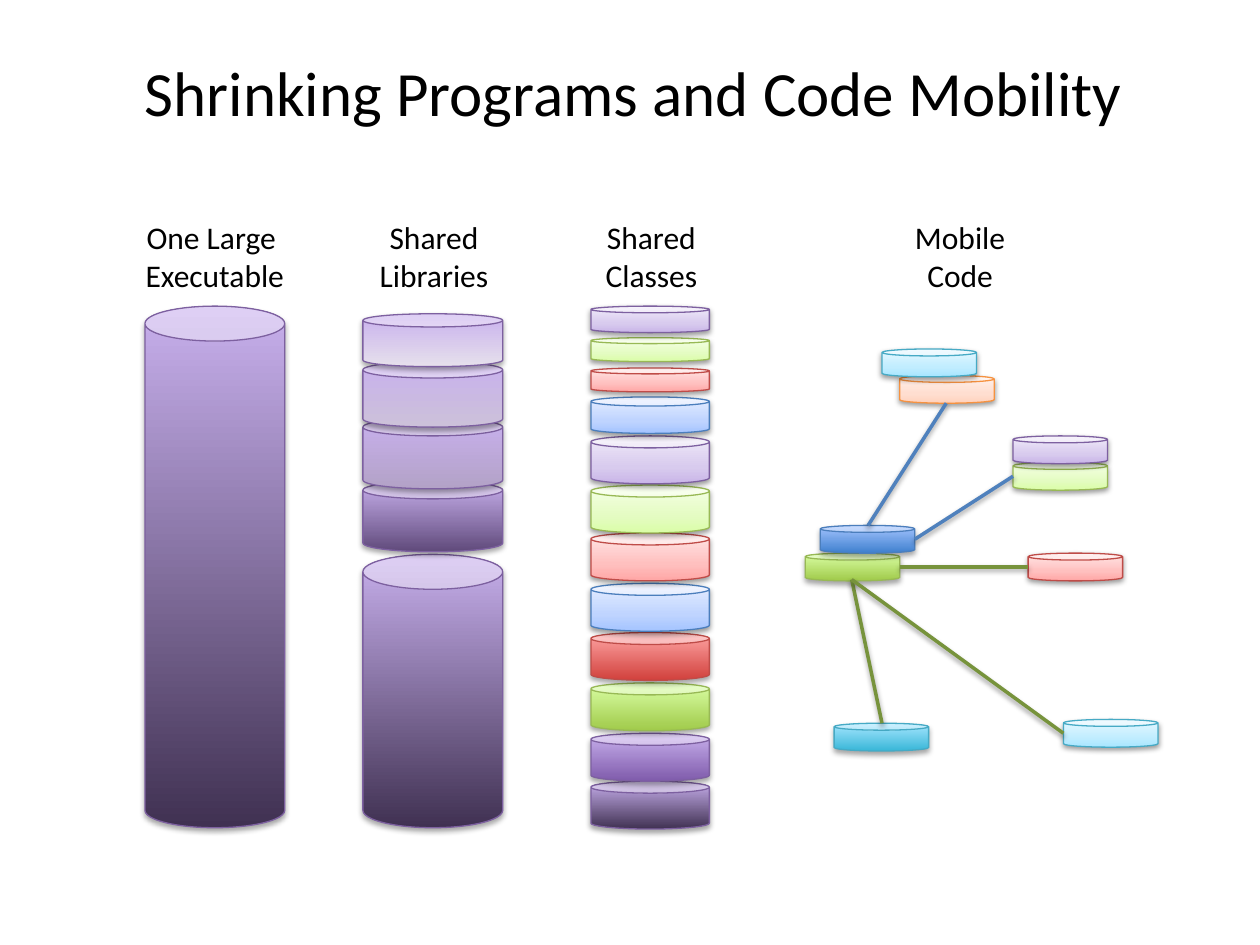
from copy import deepcopy

from lxml import etree
from pptx import Presentation
from pptx.dml.color import RGBColor
from pptx.enum.shapes import MSO_CONNECTOR as Connector, MSO_SHAPE as Shape
from pptx.enum.text import MSO_ANCHOR as Anchor, MSO_AUTO_SIZE as AutoSize, PP_ALIGN as Align
from pptx.oxml import parse_xml
from pptx.util import Inches, Pt

COLORS = {
    "text": "000000",
    "purple line": "7D60A0", "green line": "98B955", "red line": "BF4C48",
    "blue line": "4B7EBC", "orange line": "F69240", "cyan line": "46AAC5",
    "blue link": "4F81BD", "green link": "77933C",
}
# Gradient stops of each can, from bottom to top
GRADIENTS = {
    "purple darkest": ("403152", "C8B0ED"),
    "purple dark": ("604A7B", "C8B0ED"),
    "purple mid": ("B3A2C7", "C8B0ED"),
    "purple soft": ("CCC1DA", "C8B0ED"),
    "purple pale": ("E6E0EC", "C8B0ED"),
    "purple strong": ("7F5BAB", "C8B0ED"),
    "green strong": ("A0CA4A", "DAFFA5"),
    "red strong": ("D1403C", "FFA6A5"),
    "blue strong": ("3F80CE", "A4C4FF"),
    "cyan strong": ("39B7D8", "A7E6FF"),
    "purple light": ("C9B5E8", "D8CBEE", "F0EAF9"),
    "green light": ("DAFDA7", "E4FCC2", "F5FFE7"),
    "red light": ("FFA6A5", "FFC0BF", "FFE7E7"),
    "blue light": ("A4C4FF", "BFD4FF", "E6EEFF"),
    "orange light": ("FFD2BD", "FFDED0", "FFF2ED"),
    "cyan light": ("A7E6FF", "C1EDFF", "E7F8FF"),
}
DRAWING_NS = "http://schemas.openxmlformats.org/drawingml/2006/main"


def add_shadow(part, distance, opacity):
    part._element.spPr.append(parse_xml(
        f'<a:effectLst xmlns:a="{DRAWING_NS}"><a:outerShdw blurRad="{Pt(3.1)}" '
        f'dist="{Pt(distance)}" dir="5400000" rotWithShape="0"><a:srgbClr val="000000">'
        f'<a:alpha val="{opacity}000"/></a:srgbClr></a:outerShdw></a:effectLst>'))


def add_can(left, top, width, height, style):
    can = slide.shapes.add_shape(
        Shape.CAN, Inches(left), Inches(top), Inches(width), Inches(height))
    stops = GRADIENTS[style]
    can.fill.gradient()
    can.fill.gradient_angle = 90
    if len(stops) == 3:
        stop_list = can._element.spPr.find(f".//{{{DRAWING_NS}}}gsLst")
        stop_list.insert(1, deepcopy(stop_list[0]))
    positions = (0, 0.35, 1) if len(stops) == 3 else (0, 1)
    for stop, position, color in zip(can.fill.gradient_stops, positions, stops):
        stop.position = position
        stop.color.rgb = RGBColor.from_string(color)
    can.line.color.rgb = RGBColor.from_string(COLORS[style.split()[0] + " line"])
    can.line.width = Pt(0.75)
    if len(stops) == 3:
        add_shadow(can, 1.6, 38)
    else:
        add_shadow(can, 1.8, 35)


prs = Presentation()
prs.slide_width, prs.slide_height = Inches(10), Inches(7.5)
slide = prs.slides.add_slide(prs.slide_layouts[5])

# Title
title = slide.shapes.title
title.left, title.top = Inches(1.05), Inches(0.37)
title.width, title.height = Inches(8.03), Inches(0.71)
title_frame = title.text_frame
title_frame.word_wrap = False
title_frame.auto_size = AutoSize.NONE
title_frame.vertical_anchor = Anchor.MIDDLE
title_frame.paragraphs[0].alignment = Align.LEFT
title_run = title_frame.paragraphs[0].add_run()
title_run.text = "Shrinking Programs and Code Mobility"
title_run.font.size = Pt(36)
title_run.font.name = "Calibri"
title_run.font.color.rgb = RGBColor.from_string(COLORS["text"])

# One large executable
add_can(1.15, 2.43, 1.11, 4.14, "purple darkest")

# Shared libraries, from the bottom up
for top, height, style in (
    (4.4, 2.17, "purple darkest"),
    (3.82, 0.56, "purple dark"),
    (3.32, 0.56, "purple mid"),
    (2.87, 0.52, "purple soft"),
    (2.49, 0.42, "purple pale"),
):
    add_can(2.88, top, 1.11, height, style)

# Shared classes, from the bottom up
for top, height, style in (
    (6.2, 0.38, "purple darkest"),
    (5.82, 0.38, "purple strong"),
    (5.42, 0.38, "green strong"),
    (5.02, 0.38, "red strong"),
    (4.63, 0.38, "blue light"),
    (4.23, 0.38, "red light"),
    (3.85, 0.38, "green light"),
    (3.46, 0.38, "purple light"),
    (3.15, 0.29, "blue light"),
    (2.92, 0.19, "red light"),
    (2.68, 0.19, "green light"),
    (2.43, 0.21, "purple light"),
):
    add_can(4.69, top, 0.94, height, style)

# Mobile code
for left, top, style in (
    (6.39, 4.39, "green strong"),
    (6.51, 4.17, "blue strong"),
    (7.14, 2.98, "orange light"),
    (7, 2.77, "cyan light"),
    (8.04, 3.67, "green light"),
    (8.04, 3.46, "purple light"),
    (6.62, 5.74, "cyan strong"),
    (8.44, 5.71, "cyan light"),
    (8.16, 4.39, "red light"),
):
    add_can(left, top, 0.75, 0.22, style)

# Links between the mobile pieces
for x1, y1, x2, y2, color in (
    (6.89, 4.17, 7.51, 3.2, "blue link"),
    (7.26, 4.28, 8.04, 3.78, "blue link"),
    (7.14, 4.5, 8.16, 4.5, "green link"),
    (6.76, 4.6, 7, 5.74, "green link"),
    (6.76, 4.6, 8.44, 5.82, "green link"),
):
    link = slide.shapes.add_connector(
        Connector.STRAIGHT, Inches(x1), Inches(y1), Inches(x2), Inches(y2))
    link.line.color.rgb = RGBColor.from_string(COLORS[color])
    link.line.width = Pt(2)
    add_shadow(link, 1.6, 38)

# Column headings
for left, width, lines in (
    (1.05, 1.31, ("One Large ", "Executable")),
    (2.91, 1.07, ("Shared", "Libraries")),
    (4.7, 0.94, ("Shared", "Classes")),
    (7.15, 0.94, ("Mobile", "Code")),
):
    heading = slide.shapes.add_textbox(
        Inches(left), Inches(1.68), Inches(width), Inches(0.71))
    frame = heading.text_frame
    frame.word_wrap = False
    frame.auto_size = AutoSize.SHAPE_TO_FIT_TEXT
    for index, line in enumerate(lines):
        paragraph = frame.add_paragraph() if index else frame.paragraphs[0]
        paragraph.alignment = Align.CENTER
        run = paragraph.add_run()
        run.text = line
        run.font.size = Pt(18)
        run.font.name = "Calibri"
        run.font.color.rgb = RGBColor.from_string(COLORS["text"])

prs.save("out.pptx")
